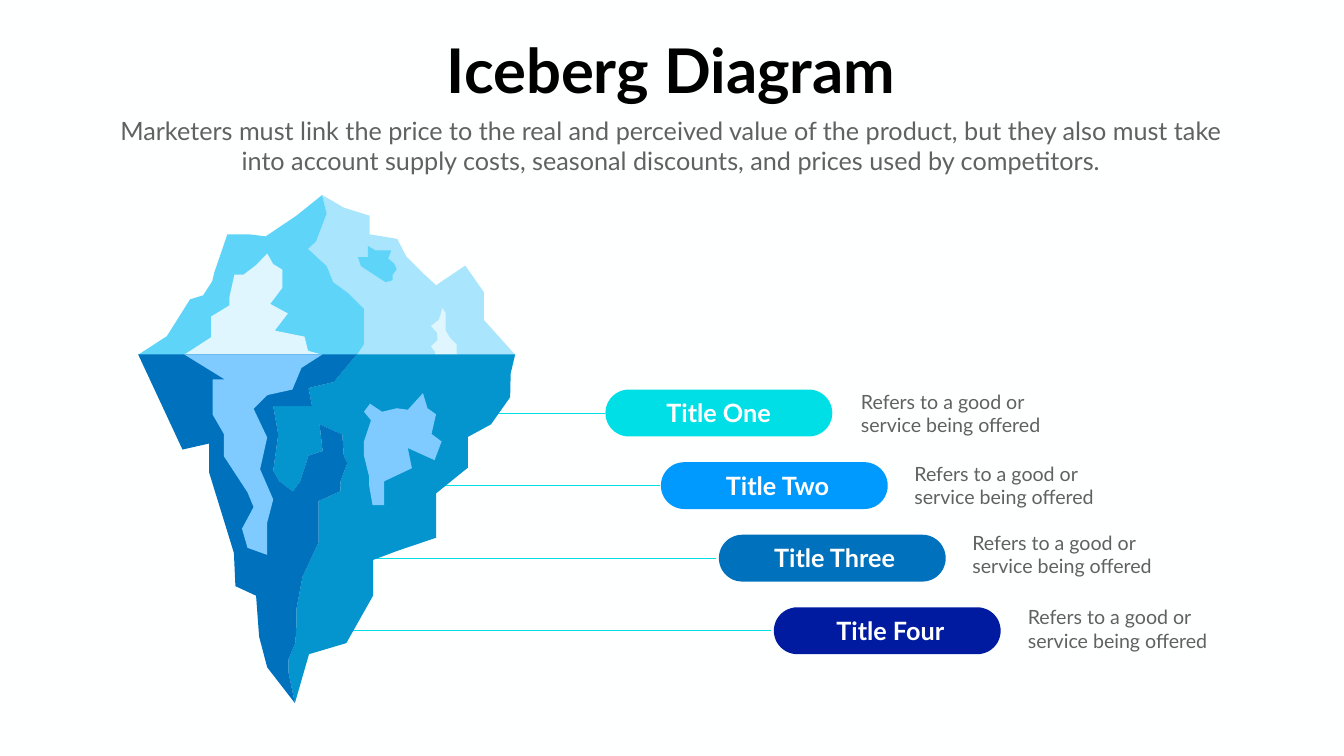
from dataclasses import dataclass

from lxml import etree
from pptx import Presentation
from pptx import util as u
from pptx.dml.color import RGBColor
from pptx.enum import shapes, text
from pptx.oxml.ns import qn


@dataclass(frozen=True)
class Theme:
    font: str = "Lato"
    background: str = "FEFFFF"
    black: str = "000000"
    grey: str = "616161"
    white: str = "FFFFFF"
    cyan: str = "00DFE5"
    azure: str = "009AFF"
    blue: str = "0071BD"
    navy: str = "011BA0"
    ice: str = "A9E5FD"
    sky: str = "5ED4F8"
    snow: str = "DFF6FE"
    sea: str = "0595CE"
    glow: str = "7FCBFF"
    title_size: int = 88
    lead_size: int = 36
    note_size: int = 28
    line_width: float = 0.88


class SlideBuilder:
    def __init__(self, s, theme):
        self.s = s
        self.theme = theme
        self.fill(s.background, theme.background)

    def fill(self, target, color):
        target.fill.solid()
        target.fill.fore_color.rgb = RGBColor.from_string(color)

    def finish(self, sp, color):
        self.fill(sp, color)
        sp.line.fill.background()
        sp.shadow.inherit = False

    def text(self, box, lines, size, color, bold=False, align=text.PP_ALIGN.LEFT, wrap=True):
        tf = self.s.shapes.add_textbox(*map(u.Inches, box)).text_frame
        frame = {"word_wrap": wrap, "auto_size": text.MSO_AUTO_SIZE.SHAPE_TO_FIT_TEXT}
        for name, value in frame.items():
            setattr(tf, name, value)
        font = {"name": self.theme.font, "size": u.Pt(size), "bold": bold}
        for i, line in enumerate(lines):
            p = tf.paragraphs[0] if i == 0 else tf.add_paragraph()
            p.alignment = align
            r = p.add_run()
            r.text = line
            for name, value in font.items():
                setattr(r.font, name, value)
            r.font.color.rgb = RGBColor.from_string(color)

    def polygon(self, points, color):
        start, *rest = [(u.Inches(x), u.Inches(y)) for x, y in points]
        builder = self.s.shapes.build_freeform(*start, scale=1.0)
        builder.add_line_segments(rest, close=True)
        self.finish(builder.convert_to_shape(), color)

    def pill(self, box, color):
        sp = self.s.shapes.add_shape(
            shapes.MSO_SHAPE.ROUNDED_RECTANGLE, *map(u.Inches, box))
        sp.adjustments[0] = 0.5
        self.finish(sp, color)

    def leader(self, x1, x2, y):
        sp = self.s.shapes.add_connector(
            shapes.MSO_CONNECTOR.STRAIGHT, *map(u.Inches, (x1, y, x2, y)))
        sp.line.width = u.Pt(self.theme.line_width)
        sp.line.color.rgb = RGBColor.from_string(self.theme.cyan)
        etree.SubElement(sp._element.spPr, qn("a:effectLst"))


RIDGE = [(6.39, 3.87), (6.48, 4.24), (6.27, 4.79), (6.11, 4.94), (6.48, 5.28), (6.61, 5.6),
         (6.9, 5.81), (7.22, 6.13), (7.22, 6.83), (7.08, 7.04)]
TIP_RIGHT = [(10.22, 7.04), (9.6, 6.35), (9.6, 5.8), (9.23, 5.27), (8.65, 5.66), (8.38, 5.41),
             (8.06, 5.09), (7.88, 4.74), (7.33, 4.65), (7.33, 4.28), (6.82, 4.12)]
TIP_LEFT = [(2.74, 7.04), (3.31, 6.67), (3.77, 5.94), (4.03, 5.86), (4.21, 5.58), (4.25, 5.41),
            (4.51, 4.65), (4.94, 4.65), (5.27, 4.69), (5.88, 4.28)]
SNOW_PEAK = [(3.65, 7.04), (4.19, 6.69), (4.19, 6.28), (4.55, 6.06), (4.55, 5.9), (4.65, 5.45),
             (4.83, 5.45), (5.08, 5.26), (5.3, 5.03), (5.42, 5.24), (5.6, 5.35), (5.6, 5.71),
             (5.36, 6.03), (5.71, 6.22), (5.45, 6.56), (6.04, 6.68), (6.11, 6.96), (6.4, 7.04)]
HOLLOW = [(7.65, 5.6), (7.79, 5.56), (7.79, 5.45), (7.87, 5.34), (7.82, 5.23), (7.7, 5.13),
          (7.76, 4.97), (7.45, 4.97), (7.3, 4.88), (7.3, 5.1), (7.1, 5.1), (7.16, 5.28)]
SNOW_PATCH = [(8.74, 6.25), (8.77, 6.11), (8.84, 6.21), (8.84, 6.56), (8.93, 6.71), (9.06, 6.84),
              (9.06, 7.02), (9.23, 7.17), (9.23, 7.3), (8.65, 7.3), (8.63, 6.98), (8.55, 6.87),
              (8.68, 6.75), (8.67, 6.6), (8.55, 6.47), (8.7, 6.35)]
KEEL = [(7.08, 7.03), (6.62, 7.58), (6.12, 7.7), (6.19, 8.06), (5.42, 8.06), (5.52, 8.62),
        (5.42, 9.34), (5.54, 9.55), (5.81, 9.75), (5.95, 9.56), (6.12, 9.04), (6.4, 8.95),
        (6.34, 8.42), (6.79, 8.62), (6.82, 9.04), (6.89, 9.19), (6.75, 9.56), (6.75, 9.75),
        (6.32, 9.94), (6.32, 10.76), (6, 11.45), (5.88, 12.08), (5.88, 12.41), (5.86, 12.75),
        (5.72, 13.09), (5.72, 13.33), (5.85, 13.95)]
BASE_RIGHT = [(6.13, 12.98), (6.87, 12.76), (7.4, 11.82), (7.4, 11.11), (7.88, 10.93),
              (8.65, 10.67), (8.65, 9.79), (9.28, 9.28), (9.28, 8.67), (9.74, 8.42),
              (10.12, 7.88), (10.13, 7.41), (10.22, 7.03)]
BASE_LEFT = [(5.3, 13.24), (5.14, 12.63), (5.08, 11.82), (4.67, 11.63), (4.64, 10.97),
             (4.15, 9.38), (4.15, 8.8), (3.62, 8.92), (2.74, 7.03)]
GLOW_LEFT = [(3.65, 7.03), (4.46, 7.53), (4.22, 7.53), (4.22, 8.23), (4.44, 8.61), (4.44, 9.05),
             (4.91, 9.77), (5.03, 10.06), (4.8, 10.49), (4.91, 10.87), (5.3, 11.01),
             (5.3, 10.37), (5.42, 9.91), (5.16, 9.31), (5.3, 8.68), (5.03, 8.11), (5.3, 7.84),
             (5.8, 7.73), (5.98, 7.3), (6.4, 7.03)]
GLOW_RIGHT = [(8.09, 8.89), (8.17, 9.29), (7.62, 9.55), (7.62, 10.02), (7.39, 10.02),
              (7.32, 9.62), (7.32, 9.45), (7.22, 9.04), (7.22, 8.76), (7.36, 8.34),
              (7.22, 8.17), (7.34, 8.01), (7.58, 8.17), (7.87, 8.1), (8.09, 8.13), (8.39, 7.8),
              (8.48, 8.1), (8.65, 8.22), (8.56, 8.61), (8.76, 8.76), (8.62, 9.13)]

PILL_TOP, PILL_W, PILL_H, STEP = 7.73, 4.5, 0.93, 1.44
NOTE = ["Refers to a good or", "service being offered"]
LEAD = ("Marketers must link the price to the real and perceived value of the product, "
        "but they also must take into account supply costs, seasonal discounts, "
        "and prices used by competitors.")


def main():
    prs = Presentation()
    prs.slide_width, prs.slide_height = u.Inches(26.66), u.Inches(15)
    theme = Theme()
    slide = SlideBuilder(prs.slides.add_slide(prs.slide_layouts[6]), theme)
    center = text.PP_ALIGN.CENTER

    for i in range(4):
        slide.leader(5.97, 12 + 1.1 * i, PILL_TOP + PILL_H / 2 + STEP * i)

    facets = [
        (RIDGE + TIP_RIGHT, theme.ice), (RIDGE + TIP_LEFT, theme.sky),
        (SNOW_PEAK, theme.snow), (HOLLOW, theme.sky), (SNOW_PATCH, theme.snow),
        (KEEL + BASE_RIGHT, theme.sea), (KEEL + BASE_LEFT, theme.blue),
        (GLOW_LEFT, theme.glow), (GLOW_RIGHT, theme.glow),
    ]
    for points, color in facets:
        slide.polygon(points, color)

    slide.text((8.66, 0.58, 9.3, 1.58), ["Iceberg Diagram"], theme.title_size, theme.black,
               bold=True, align=center, wrap=False)
    slide.text((2.2, 2.24, 22.21, 1.31), [LEAD], theme.lead_size, theme.grey, align=center)

    levels = [
        ("Title One", theme.cyan, 12.01, 13.07, 2.37, 16.98, 7.68),
        ("Title Two", theme.azure, 13.11, 14.24, 2.37, 18.04, 9.11),
        ("Title Three", theme.blue, 14.26, 15.2, 2.71, 19.19, 10.48),
        ("Title Four", theme.navy, 15.35, 16.35, 2.62, 20.29, 11.96),
    ]
    for i, (title, color, pill_x, title_x, title_w, note_x, note_y) in enumerate(levels):
        top = PILL_TOP + STEP * i
        slide.pill((pill_x, top, PILL_W, PILL_H), color)
        slide.text((title_x, top + 0.11, title_w, 0.71), [title], theme.lead_size,
                   theme.white, bold=True, align=center)
        slide.text((note_x, note_y, 3.97, 1.04), NOTE, theme.note_size, theme.grey)

    prs.save("out.pptx")


if __name__ == "__main__":
    main()
